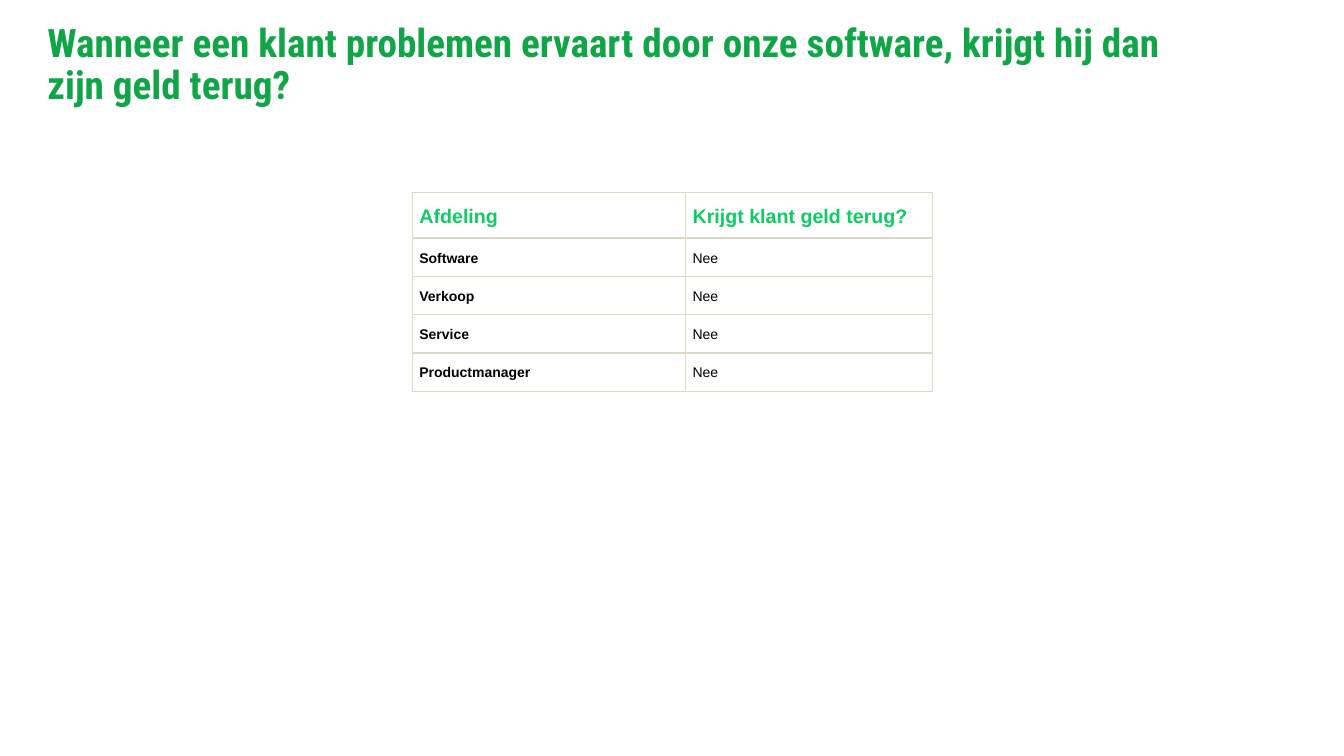
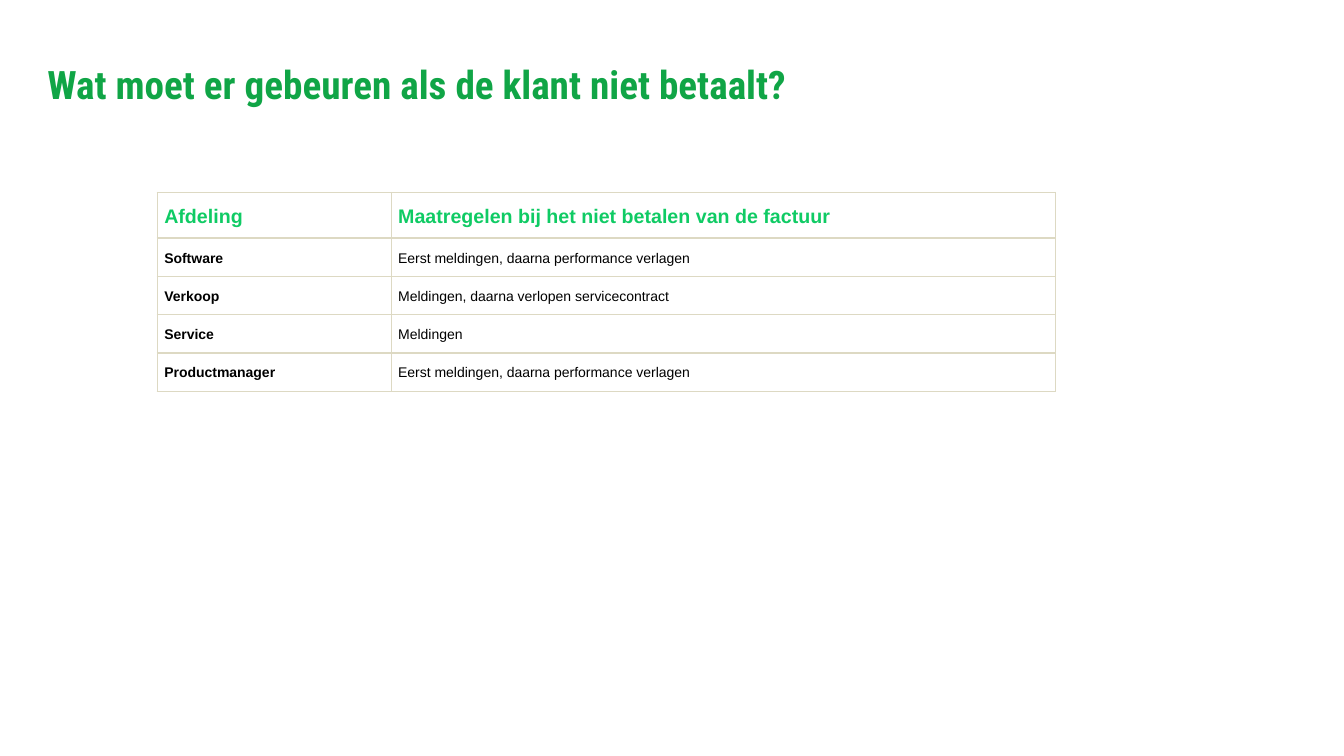
import dataclasses

import lxml.etree
import pptx
import pptx.dml.color
import pptx.enum.text
import pptx.oxml.ns
import pptx.presentation
import pptx.slide
import pptx.table
import pptx.text.text
import pptx.util

Inches = pptx.util.Inches
Pt = pptx.util.Pt
qn = pptx.oxml.ns.qn

GREEN = "10A546"
LIME = "0FCB64"
BLACK = "000000"
WHITE = "FFFFFF"
SAND = "DDD9C3"
TOP = 1.91
HEAD = 0.45
ROW = 0.38
TEAMS = ("Software", "Verkoop", "Service", "Productmanager")


@dataclasses.dataclass(frozen=True)
class Page:
    title: str
    left: float
    widths: tuple[float, float]
    header: str
    answers: tuple[str, ...]


PAGES = (
    Page(
        "Wanneer een klant problemen ervaart door onze software, krijgt hij dan zijn geld terug?",
        4.09,
        (2.71, 2.45),
        "Krijgt klant geld terug?",
        ("Nee",) * len(TEAMS),
    ),
    Page(
        "Wat moet er gebeuren als de klant niet betaalt?",
        1.56,
        (2.32, 6.59),
        "Maatregelen bij het niet betalen van de factuur",
        (
            "Eerst meldingen, daarna performance verlagen",
            "Meldingen, daarna verlopen servicecontract",
            "Meldingen",
            "Eerst meldingen, daarna performance verlagen",
        ),
    ),
)


def color(code: str) -> pptx.dml.color.RGBColor:
    return pptx.dml.color.RGBColor.from_string(code)


def style(
    para: pptx.text.text._Paragraph, face: str, size: int, code: str, bold: bool, space: float
) -> None:
    para.alignment = pptx.enum.text.PP_ALIGN.LEFT
    para.line_spacing = space
    font = para.font
    font.name = face
    font.size = Pt(size)
    font.bold = bold
    font.color.rgb = color(code)


def border(cell: pptx.table._Cell) -> None:
    props = cell._tc.get_or_add_tcPr()
    for side in ("L", "R", "T", "B"):
        line = lxml.etree.SubElement(props, qn(f"a:ln{side}"), w=str(Pt(1)))
        fill = lxml.etree.SubElement(line, qn("a:solidFill"))
        lxml.etree.SubElement(fill, qn("a:srgbClr"), val=SAND)


def add_title(slide: pptx.slide.Slide, text: str) -> None:
    title = slide.shapes.title
    title.left, title.top = Inches(0.37), Inches(0.23)
    title.width, title.height = Inches(11.3), Inches(0.89)
    frame = title.text_frame
    frame.text = text
    frame.word_wrap = True
    frame.auto_size = pptx.enum.text.MSO_AUTO_SIZE.NONE
    frame.vertical_anchor = pptx.enum.text.MSO_ANCHOR.BOTTOM
    style(frame.paragraphs[0], "Roboto Condensed", 28, GREEN, True, 0.9)


def fill_cell(cell: pptx.table._Cell, text: str, head: bool, bold: bool) -> None:
    cell.text = text
    cell.margin_left = cell.margin_right = Inches(0.07)
    cell.margin_top = cell.margin_bottom = Inches(0.1)
    border(cell)
    cell.fill.solid()
    cell.fill.fore_color.rgb = color(WHITE)
    size, code = (14, LIME) if head else (10, BLACK)
    style(cell.text_frame.paragraphs[0], "Arial", size, code, bold, 1.15)


def add_grid(slide: pptx.slide.Slide, page: Page) -> None:
    rows = [("Afdeling", page.header), *zip(TEAMS, page.answers)]
    grid = slide.shapes.add_table(
        len(rows),
        len(page.widths),
        Inches(page.left),
        Inches(TOP),
        Inches(sum(page.widths)),
        Inches(HEAD + ROW * len(TEAMS)),
    ).table
    grid.first_row = grid.horz_banding = False
    for col, width in zip(grid.columns, page.widths):
        col.width = Inches(width)
    for r, row in enumerate(rows):
        head = r == 0
        grid.rows[r].height = Inches(HEAD if head else ROW)
        for c, text in enumerate(row):
            fill_cell(grid.cell(r, c), text, head, head or c == 0)


def add_page(deck: pptx.presentation.Presentation, page: Page) -> None:
    slide = deck.slides.add_slide(deck.slide_layouts[5])
    add_title(slide, page.title)
    add_grid(slide, page)


def main() -> None:
    deck = pptx.Presentation()
    deck.slide_width, deck.slide_height = Inches(13.33), Inches(7.5)
    for page in PAGES:
        add_page(deck, page)
    deck.save("out.pptx")


if __name__ == "__main__":
    main()
